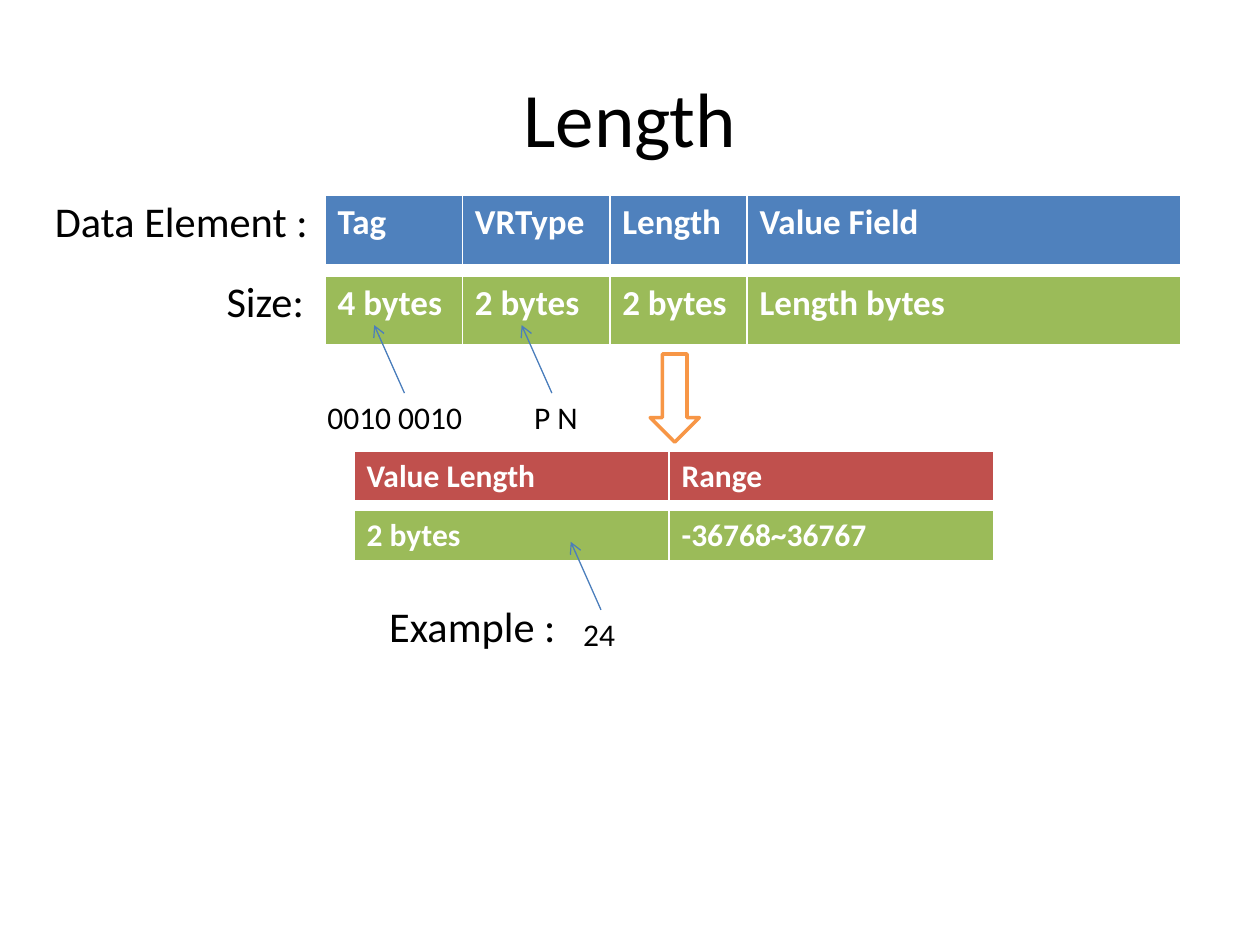
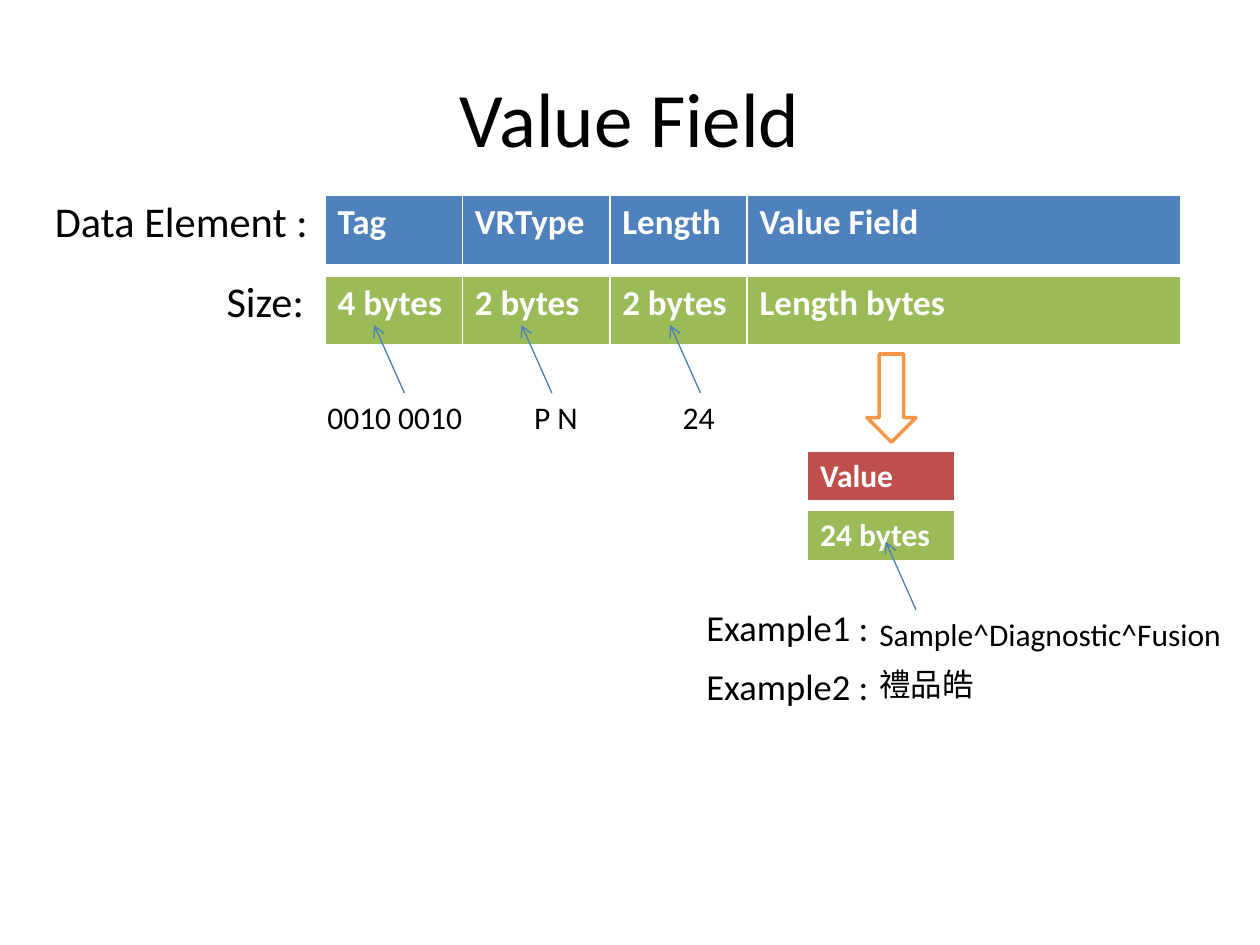
"""Build two slides that explain the length and value field of a data element."""
from dataclasses import dataclass

from pptx import Presentation
from pptx.dml.color import RGBColor
from pptx.enum import shapes, text
from pptx.oxml import parse_xml
from pptx.oxml.ns import nsdecls
from pptx.util import Inches, Pt

BLACK = RGBColor(0x00, 0x00, 0x00)
WHITE = RGBColor(0xFF, 0xFF, 0xFF)
BLUE = RGBColor(0x4F, 0x81, 0xBD)
GREEN = RGBColor(0x9B, 0xBB, 0x59)
RED = RGBColor(0xC0, 0x50, 0x4D)
ORANGE = RGBColor(0xF7, 0x96, 0x46)
LINE_BLUE = RGBColor(0x4B, 0x7E, 0xBC)
FONT = "Calibri"
BORDERS = {"L": 1, "R": 1, "T": 1, "B": 3}
ELEMENT_COLS = [1.09, 1.17, 1.09, 3.44]
NOTE_TOP, DETAIL_NOTE_TOP = 3.11, 4.83


@dataclass
class Strip:
    texts: list[str]
    cols: list[float]
    left: float
    top: float
    height: float
    size: float
    color: RGBColor


@dataclass
class Label:
    text: str
    left: float
    top: float
    width: float
    height: float
    size: float = 24.2
    spacing: float = 0.8


@dataclass
class Note:
    text: str
    left: float
    top: float
    width: float
    tip: float | None = None


@dataclass
class Page:
    title: str
    arrow_left: float
    detail_left: float
    detail_cols: list[float]
    heads: list[str]
    values: list[str]
    labels: list[Label]
    notes: list[Note]


ELEMENT_STRIPS = [
    Strip(["Tag", "VRType", "Length", "Value Field"], ELEMENT_COLS, 2.58, 1.55, 0.56, 20, BLUE),
    Strip(["4 bytes", "2 bytes", "2 bytes", "Length bytes"], ELEMENT_COLS, 2.58, 2.19, 0.56, 20, GREEN),
]
ELEMENT_LABELS = [
    Label("Data Element :", 0.16, 1.55, 2.56, 0.47),
    Label("Size:", 1.56, 2.19, 1.09, 0.47),
]
ELEMENT_NOTES = [
    Note("0010 0010", 2.5, NOTE_TOP, 1.28, 2.97),
    Note("P N", 4.14, NOTE_TOP, 0.55, 4.14),
]
PAGES = [
    Page("Length", 5.16, 2.81, [2.5, 2.58],
         ["Value Length", "Range"], ["2 bytes", "-36768~36767"],
         [Label("Example :", 2.97, 4.69, 1.56, 0.63)],
         [Note("24", 4.53, DETAIL_NOTE_TOP, 0.46, 4.53)]),
    Page("Value Field", 6.88, 6.41, [1.17], ["Value"], ["24 bytes"],
         [Label("Example1 :", 5.47, 4.69, 1.56, 0.63, 20.9),
          Label("Example2 :", 5.47, 5.16, 1.56, 0.63, 20.9)],
         [Note("24", 5.32, NOTE_TOP, 0.46, 5.32),
          Note("Sample^Diagnostic^Fusion", 6.88, DETAIL_NOTE_TOP, 2.95, 7.03),
          Note("禮品皓", 6.88, 5.23, 0.96)]),
]


def write(tf, content: str, size: float, color: RGBColor = BLACK, bold: bool = False):
    """Write one formatted run and return its paragraph."""
    p = tf.paragraphs[0]
    r = p.add_run()
    r.text = content
    for name, value in {"name": FONT, "size": Pt(size), "bold": bold}.items():
        setattr(r.font, name, value)
    r.font.color.rgb = color
    return p


def add_strip(s, strip: Strip) -> None:
    """Draw a one-row table with white borders."""
    table = s.shapes.add_table(1, len(strip.cols), Inches(strip.left), Inches(strip.top),
                               Inches(sum(strip.cols)), Inches(strip.height)).table
    table.rows[0].height = Inches(strip.height)
    for i, (content, width) in enumerate(zip(strip.texts, strip.cols)):
        table.columns[i].width = Inches(width)
        cell = table.cell(0, i)
        write(cell.text_frame, content, strip.size, WHITE, True)
        tc_pr = cell._tc.get_or_add_tcPr()
        for side, weight in BORDERS.items():
            tc_pr.append(parse_xml(
                f'<a:ln{side} {nsdecls("a")} w="{Pt(weight)}"><a:solidFill>'
                f'<a:srgbClr val="{WHITE}"/></a:solidFill></a:ln{side}>'))
        cell.fill.solid()
        cell.fill.fore_color.rgb = strip.color


def add_label(s, label: Label) -> None:
    """Draw centred text in a fixed box."""
    box = (label.left, label.top, label.width, label.height)
    tf = s.shapes.add_textbox(*map(Inches, box)).text_frame
    tf.word_wrap = True
    tf.vertical_anchor = text.MSO_ANCHOR.MIDDLE
    p = write(tf, label.text, label.size)
    p.alignment = text.PP_ALIGN.CENTER
    p.line_spacing = label.spacing


def add_pointer(s, tip: float, top: float) -> None:
    """Draw a thin slanted arrow from a note up to its cell."""
    ends = (tip + 0.24, top + 0.01, tip, top - 0.53)
    line = s.shapes.add_connector(shapes.MSO_CONNECTOR.STRAIGHT, *map(Inches, ends))
    line.line.color.rgb = LINE_BLUE
    line.line.width = Pt(0.75)
    line.line._get_or_add_ln().append(parse_xml(f'<a:tailEnd {nsdecls("a")} type="arrow"/>'))
    line._element.spPr.append(parse_xml(f'<a:effectLst {nsdecls("a")}/>'))


def add_note(s, note: Note) -> None:
    """Draw an example value and the pointer it may have."""
    box = (note.left, note.top, note.width, 0.4)
    tf = s.shapes.add_textbox(*map(Inches, box)).text_frame
    tf.word_wrap = False
    tf.auto_size = text.MSO_AUTO_SIZE.SHAPE_TO_FIT_TEXT
    write(tf, note.text, 18)
    if note.tip is not None:
        add_pointer(s, note.tip, note.top)


def add_down_arrow(s, left: float) -> None:
    """Draw the outlined arrow that leads to the detail strips."""
    sp = s.shapes.add_shape(shapes.MSO_SHAPE.DOWN_ARROW, Inches(left), Inches(2.81),
                            Inches(0.39), Inches(0.7))
    sp.shadow.inherit = False
    sp.fill.background()
    sp.line.color.rgb = ORANGE
    sp.line.width = Pt(2)


def add_page(prs, page: Page) -> None:
    """Draw one whole slide."""
    s = prs.slides.add_slide(prs.slide_layouts[6])
    add_label(s, Label(page.title, 0.5, 0.3, 9, 1.25, 44, 1.0))
    detail_strips = [
        Strip(page.heads, page.detail_cols, page.detail_left, 3.58, 0.41, 18, RED),
        Strip(page.values, page.detail_cols, page.detail_left, 4.05, 0.41, 18, GREEN),
    ]
    for strip in ELEMENT_STRIPS + detail_strips:
        add_strip(s, strip)
    for label in ELEMENT_LABELS + page.labels:
        add_label(s, label)
    add_down_arrow(s, page.arrow_left)
    for note in ELEMENT_NOTES + page.notes:
        add_note(s, note)


def main() -> None:
    """Build and save the presentation."""
    prs = Presentation()
    prs.slide_width, prs.slide_height = Inches(10), Inches(7.5)
    for page in PAGES:
        add_page(prs, page)
    prs.save("out.pptx")


main()
